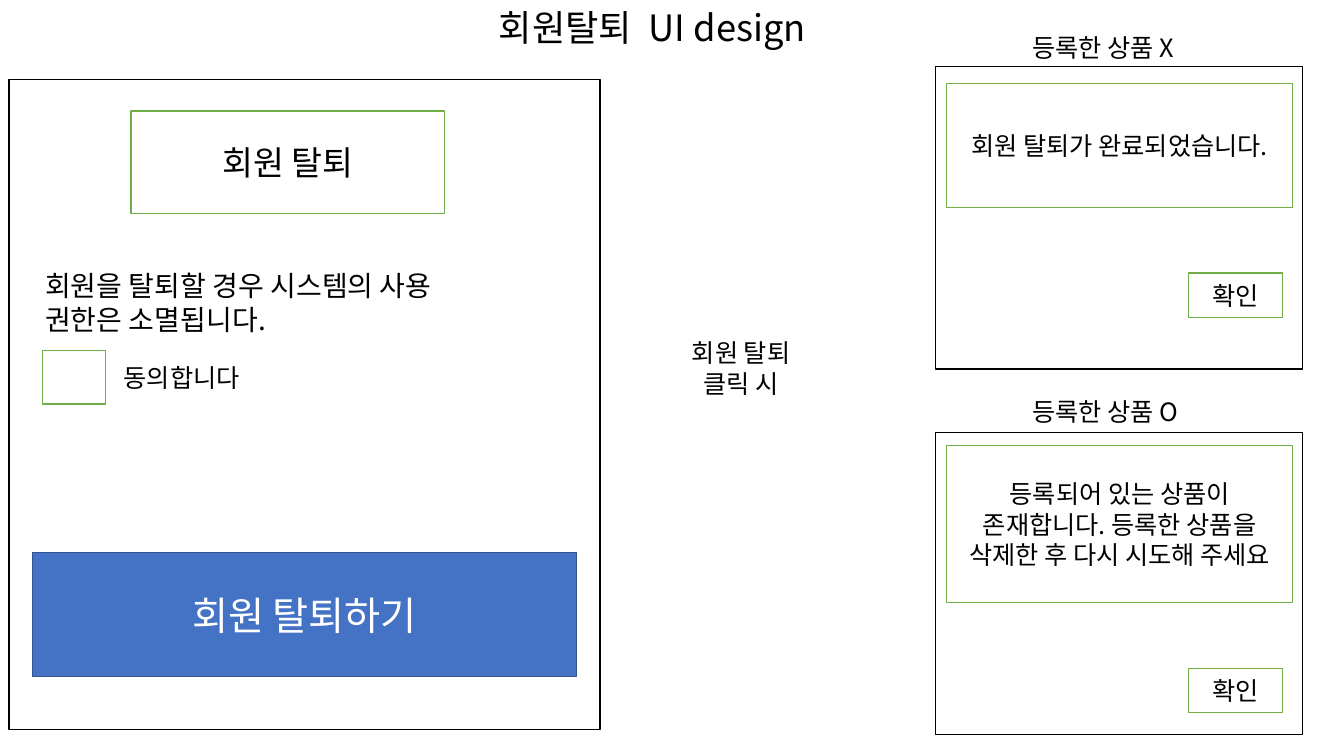
"""Build the membership withdrawal UI design slide."""
from lxml.etree import SubElement
from pptx import Presentation
from pptx.dml.color import RGBColor
from pptx.enum.shapes import MSO_SHAPE
from pptx.enum.text import MSO_ANCHOR, PP_ALIGN
from pptx.oxml.ns import qn
from pptx.util import Emu, Pt

PX = 9144
THEME = {
    "font": "Noto Sans CJK KR",
    "black": RGBColor(0, 0, 0),
    "white": RGBColor(255, 255, 255),
    "green": RGBColor(0x70, 0xAD, 0x47),
    "blue": RGBColor(0x44, 0x72, 0xC4),
    "navy": RGBColor(0x32, 0x54, 0x91),
    "title": 25.9, "action": 28, "heading": 24, "notice": 20, "body": 18,
}

presentation = Presentation()
presentation.slide_width = Emu(1333 * PX)
presentation.slide_height = Emu(750 * PX)
slide = presentation.slides.add_slide(presentation.slide_layouts[6])


def write_text(shape, text, size="body", color="black", align=PP_ALIGN.CENTER,
               anchor=MSO_ANCHOR.MIDDLE, spacing=None):
    frame = shape.text_frame
    for name, value in {"word_wrap": True, "vertical_anchor": anchor}.items():
        setattr(frame, name, value)
    paragraph = frame.paragraphs[0]
    for name, value in {"alignment": align, "line_spacing": spacing}.items():
        setattr(paragraph, name, value)
    run = paragraph.add_run()
    run.text = text
    run.font.color.rgb = THEME[color]
    for name, value in {"size": Pt(THEME[size]), "name": THEME["font"]}.items():
        setattr(run.font, name, value)
    SubElement(run.font._element, qn("a:ea"), typeface=THEME["font"])


def add_box(bounds, line, fill="white"):
    box = slide.shapes.add_shape(MSO_SHAPE.RECTANGLE, *(Emu(n * PX) for n in bounds))
    box.shadow.inherit = False
    box.fill.solid()
    box.fill.fore_color.rgb = THEME[fill]
    box.line.color.rgb = THEME[line]
    box.line.width = Pt(1)
    return box


labels = [
    ((100, 12, 1094, 44), "회원탈퇴  UI design", {"size": "title", "spacing": 0.7}),
    ((670, 330, 130, 71), "회원 탈퇴 클릭 시", {}),
    ((1014, 27, 181, 40), "등록한 상품 X", {"align": PP_ALIGN.LEFT}),
    ((1014, 388, 219, 40), "등록한 상품 O", {"align": PP_ALIGN.LEFT}),
]
for bounds, text, style in labels:
    label = slide.shapes.add_textbox(*(Emu(n * PX) for n in bounds))
    write_text(label, text, anchor=MSO_ANCHOR.TOP, **style)

add_box((9, 79, 586, 645), "black")
notice = add_box((35, 172, 465, 256), "white")
write_text(notice, "회원을 탈퇴할 경우 시스템의 사용 권한은 소멸됩니다.", "notice", align=PP_ALIGN.LEFT)
add_box((42, 348, 63, 53), "green")
consent = add_box((113, 348, 253, 53), "white")
write_text(consent, "동의합니다", align=PP_ALIGN.LEFT)
withdraw_button = add_box((32, 548, 540, 123), "navy", "blue")
write_text(withdraw_button, "회원 탈퇴하기", "action", "white")
heading = add_box((130, 110, 311, 102), "green")
write_text(heading, "회원 탈퇴", "heading")

popups = [
    (66, 83, 123, 271, "회원 탈퇴가 완료되었습니다."),
    (429, 442, 156, 663, "등록되어 있는 상품이 존재합니다. 등록한 상품을 삭제한 후 다시 시도해 주세요"),
]
for top, message_top, message_height, button_top, text in popups:
    add_box((928, top, 364, 300), "black")
    message = add_box((939, message_top, 343, message_height), "green")
    write_text(message, text)
    confirm_button = add_box((1179, button_top, 93, 44), "green")
    write_text(confirm_button, "확인")

presentation.save("out.pptx")
